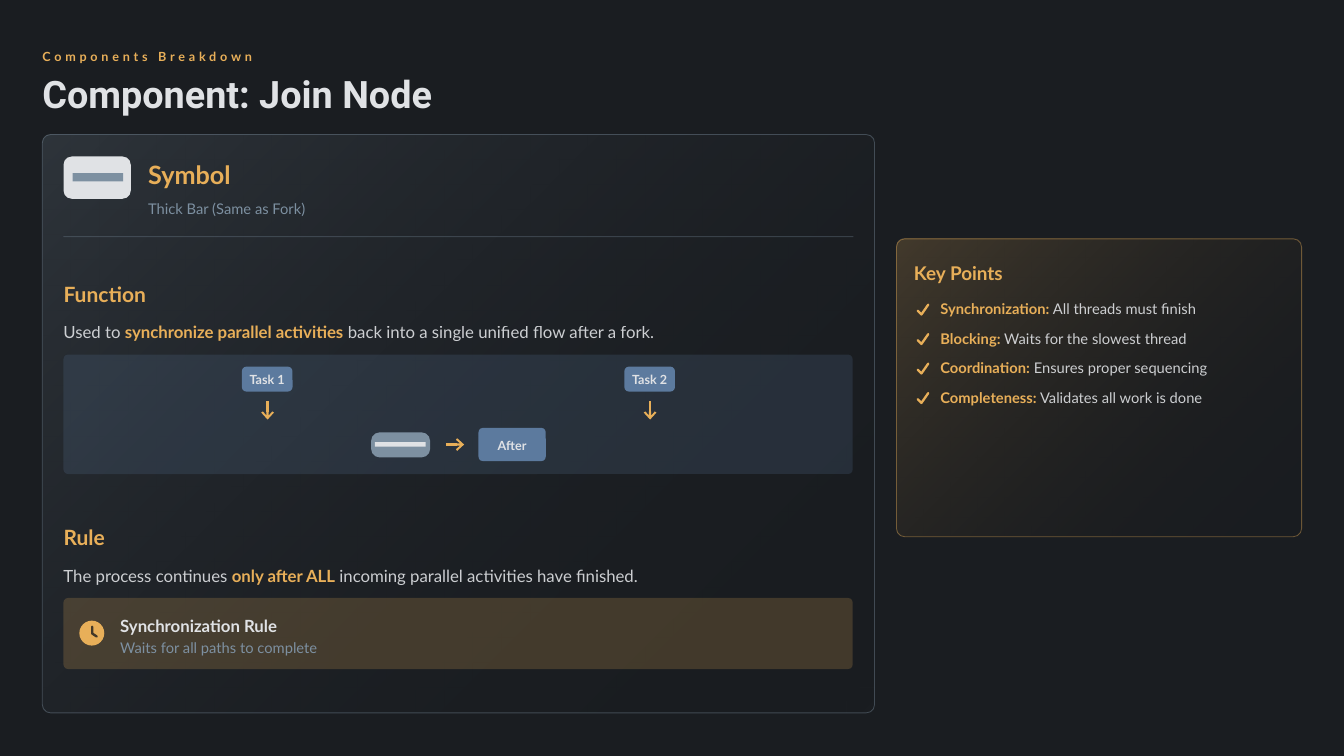
"""Build the Join Node component slide."""
from dataclasses import dataclass

from lxml import etree
from pptx import Presentation
from pptx.dml.color import RGBColor
from pptx.enum.shapes import MSO_CONNECTOR, MSO_SHAPE
from pptx.enum.text import MSO_ANCHOR, PP_ALIGN
from pptx.oxml.ns import qn
from pptx.util import Inches, Pt

ROUNDED = MSO_SHAPE.ROUNDED_RECTANGLE
RECTANGLE = MSO_SHAPE.RECTANGLE
OVAL = MSO_SHAPE.OVAL
STRAIGHT = MSO_CONNECTOR.STRAIGHT
MIDDLE = MSO_ANCHOR.MIDDLE
LEFT, CENTER = PP_ALIGN.LEFT, PP_ALIGN.CENTER
TITLE_ONLY = 5


@dataclass(frozen=True)
class Theme:
    """Colours, fonts and type sizes of the slide."""
    background: str = "1A1D21"
    amber: str = "E8AF59"
    light: str = "E0E2E5"
    slate: str = "7D90A1"
    blue: str = "5C7A9E"
    black: str = "000000"
    clock_hand: str = "433828"
    heading_font: str = "Roboto"
    body_font: str = "Lato"
    title: int = 36
    symbol: int = 24
    section: int = 20
    key_points: int = 18
    body: int = 16
    detail: int = 14
    label: int = 12
    panel_line: float = 0.8
    icon_line: float = 2.2


THEME = Theme()
KEY_POINTS = [
    ("Synchronization:", " All threads must finish"),
    ("Blocking:", " Waits for the slowest thread"),
    ("Coordination:", " Ensures proper sequencing"),
    ("Completeness:", " Validates all work is done"),
]


def set_alpha(element, percent):
    """Make every colour below an element partly transparent."""
    for color in element.iter(qn("a:srgbClr")):
        etree.SubElement(color, qn("a:alpha"), val=str(percent * 1000))


def write(frame, runs, size, spacing, font=THEME.body_font, align=LEFT):
    """Fill a text frame with one paragraph of (text, colour, bold, alpha) runs."""
    frame.word_wrap = True
    frame.vertical_anchor = MIDDLE
    frame.margin_left = frame.margin_right = frame.margin_top = frame.margin_bottom = 0
    paragraph = frame.paragraphs[0]
    paragraph.alignment = align
    paragraph.line_spacing = spacing
    for text, color, bold, alpha in runs:
        run = paragraph.add_run()
        run.text = text
        run.font.name = font
        run.font.size = Pt(size)
        run.font.bold = bold
        run.font.color.rgb = RGBColor.from_string(color)
        if alpha < 100:
            set_alpha(run.font._element, alpha)
    return paragraph


def add_text(slide, box, runs, size, spacing=1.2):
    """Add a text box holding one paragraph."""
    shape = slide.shapes.add_textbox(*map(Inches, box))
    return write(shape.text_frame, runs, size, spacing)


def strong(text, color=THEME.amber):
    """Describe a bold run."""
    return text, color, True, 100


def plain(text):
    """Describe a body run."""
    return text, THEME.light, False, 90


def muted(text):
    """Describe a secondary run."""
    return text, THEME.slate, False, 100


def add_block(slide, box, color, radius=0, alpha=100, kind=None):
    """Add a filled block without outline, rounded when a radius is given."""
    kind = kind or (ROUNDED if radius else RECTANGLE)
    shape = slide.shapes.add_shape(kind, *map(Inches, box))
    shape.shadow.inherit = False
    if radius:
        shape.adjustments[0] = radius / min(box[2:])
    shape.fill.solid()
    shape.fill.fore_color.rgb = RGBColor.from_string(color)
    shape.line.fill.background()
    if alpha < 100:
        set_alpha(shape.element.spPr, alpha)
    return shape


def add_panel(slide, box, color):
    """Add an outlined panel whose tint fades towards the lower right."""
    shape = add_block(slide, box, color, radius=0.11)
    shape.fill.gradient()
    shape.fill.gradient_angle = 315
    stops = zip(shape.fill.gradient_stops, (color, THEME.black), (0, 1), (20, 0))
    for stop, stop_color, position, alpha in stops:
        stop.color.rgb = RGBColor.from_string(stop_color)
        stop.position = position
        set_alpha(stop._gs, alpha)
    style_line(shape.line, color, THEME.panel_line)
    set_alpha(shape.line._ln, 40)


def style_line(line, color, width):
    """Set the colour and width of a line."""
    line.width = Pt(width)
    line.color.rgb = RGBColor.from_string(color)


def add_line(slide, start, end, color, width):
    """Add a straight connector without shadow."""
    connector = slide.shapes.add_connector(STRAIGHT, *map(Inches, (*start, *end)))
    style_line(connector.line, color, width)
    etree.SubElement(connector.element.spPr, qn("a:effectLst"))
    return connector


def add_arrow(slide, start, end):
    """Add an amber arrow with an open head."""
    line = add_line(slide, start, end, THEME.amber, THEME.icon_line).line
    etree.SubElement(line._ln, qn("a:round"))
    etree.SubElement(line._ln, qn("a:tailEnd"), type="arrow", w="lg", len="med")


def add_stroke(slide, points, color):
    """Add an open polyline with round ends."""
    corners = [(Inches(x), Inches(y)) for x, y in points]
    builder = slide.shapes.build_freeform(*corners[0])
    builder.add_line_segments(corners[1:], close=False)
    shape = builder.convert_to_shape()
    shape.shadow.inherit = False
    shape.fill.background()
    style_line(shape.line, color, THEME.icon_line)
    shape.line._ln.set("cap", "rnd")
    etree.SubElement(shape.line._ln, qn("a:round"))


def add_node(slide, box, text):
    """Add a blue activity node with a centred label."""
    shape = add_block(slide, box, THEME.blue, radius=0.06)
    write(shape.text_frame, [strong(text, THEME.light)], THEME.label, 1.1, align=CENTER)


def add_header(slide):
    """Add the kicker and the title."""
    kicker = add_text(slide, (0.56, 0.62, 3.31, 0.23),
                      [strong("Components Breakdown")], THEME.label, 1.1)
    kicker.runs[0].font._element.set("spc", "360")
    title = slide.shapes.title
    title.left, title.top, title.width, title.height = map(Inches, (0.56, 1, 11.26, 0.56))
    write(title.text_frame, [strong("Component: Join Node", THEME.light)],
          THEME.title, 0.9, THEME.heading_font)


def add_symbol(slide):
    """Add the symbol row with its divider."""
    add_block(slide, (0.84, 2.07, 0.89, 0.56), THEME.light, radius=0.11)
    add_block(slide, (0.96, 2.29, 0.67, 0.11), THEME.slate)
    add_text(slide, (1.96, 2.07, 2.21, 0.44), [strong("Symbol")], THEME.symbol, 1.1)
    add_text(slide, (1.96, 2.63, 2.14, 0.22), [muted("Thick Bar (Same as Fork)")], THEME.detail)
    divider = add_line(slide, (0.84, 3.13), (11.29, 3.13), THEME.slate, THEME.panel_line)
    set_alpha(divider.line._ln, 30)


def add_section(slide, top, heading, runs, tint, height):
    """Add a section heading, its sentence and the tinted area below."""
    add_text(slide, (0.84, top, 10.58, 0.39), [strong(heading)], THEME.section)
    add_text(slide, (0.84, top + 0.5, 10.56, 0.36), runs, THEME.body, 1.4)
    add_block(slide, (0.84, top + 1.03, 10.44, height), tint, radius=0.06, alpha=20)


def add_join_diagram(slide):
    """Add two tasks that join into one following activity."""
    for left, text in ((3.2, "Task 1"), (8.26, "Task 2")):
        add_node(slide, (left, 4.85, 0.67, 0.33), text)
        add_arrow(slide, (left + 0.34, 5.31), (left + 0.34, 5.55))
    add_block(slide, (4.91, 5.72, 0.78, 0.33), THEME.slate, radius=0.11)
    add_block(slide, (4.96, 5.85, 0.67, 0.06), THEME.light)
    add_arrow(slide, (5.9, 5.88), (6.14, 5.88))
    add_node(slide, (6.33, 5.66, 0.89, 0.44), "After")


def add_rule_note(slide):
    """Add the clock and the two lines of the rule."""
    add_block(slide, (1.05, 8.21, 0.33, 0.33), THEME.amber, kind=OVAL)
    add_stroke(slide, [(1.22, 8.29), (1.22, 8.38), (1.28, 8.42)], THEME.clock_hand)
    add_text(slide, (1.59, 8.07, 2.69, 0.33),
             [strong("Synchronization Rule", THEME.light)], THEME.body, 1.3)
    add_text(slide, (1.59, 8.41, 2.68, 0.28),
             [muted("Waits for all paths to complete")], THEME.detail)


def add_key_points(slide):
    """Add the panel with the checked key points."""
    add_panel(slide, (11.86, 3.16, 5.36, 3.94), THEME.amber)
    add_text(slide, (12.09, 3.37, 5.03, 0.39), [strong("Key Points")], THEME.key_points, 1.3)
    for index, (term, explanation) in enumerate(KEY_POINTS):
        top = 3.92 + 0.39 * index
        add_stroke(slide, [(12.14, top + 0.19), (12.19, top + 0.24), (12.28, top + 0.11)],
                   THEME.amber)
        add_text(slide, (12.44, top, 3.6, 0.28), [strong(term), plain(explanation)], THEME.detail)


def main():
    """Build and save the slide."""
    presentation = Presentation()
    presentation.slide_width, presentation.slide_height = Inches(17.78), Inches(10)
    slide = presentation.slides.add_slide(presentation.slide_layouts[TITLE_ONLY])
    slide.background.fill.solid()
    slide.background.fill.fore_color.rgb = RGBColor.from_string(THEME.background)
    add_header(slide)
    add_panel(slide, (0.56, 1.78, 11.01, 7.65), THEME.slate)
    add_symbol(slide)
    add_section(slide, 3.66, "Function", [
        plain("Used to "), strong("synchronize parallel activities"),
        plain(" back into a single unified flow after a fork.")], THEME.blue, 1.58)
    add_join_diagram(slide)
    add_section(slide, 6.88, "Rule", [
        plain("The process continues "), strong("only after ALL"),
        plain(" incoming parallel activities have finished.")], THEME.amber, 0.94)
    add_rule_note(slide)
    add_key_points(slide)
    presentation.save("out.pptx")


if __name__ == "__main__":
    main()
